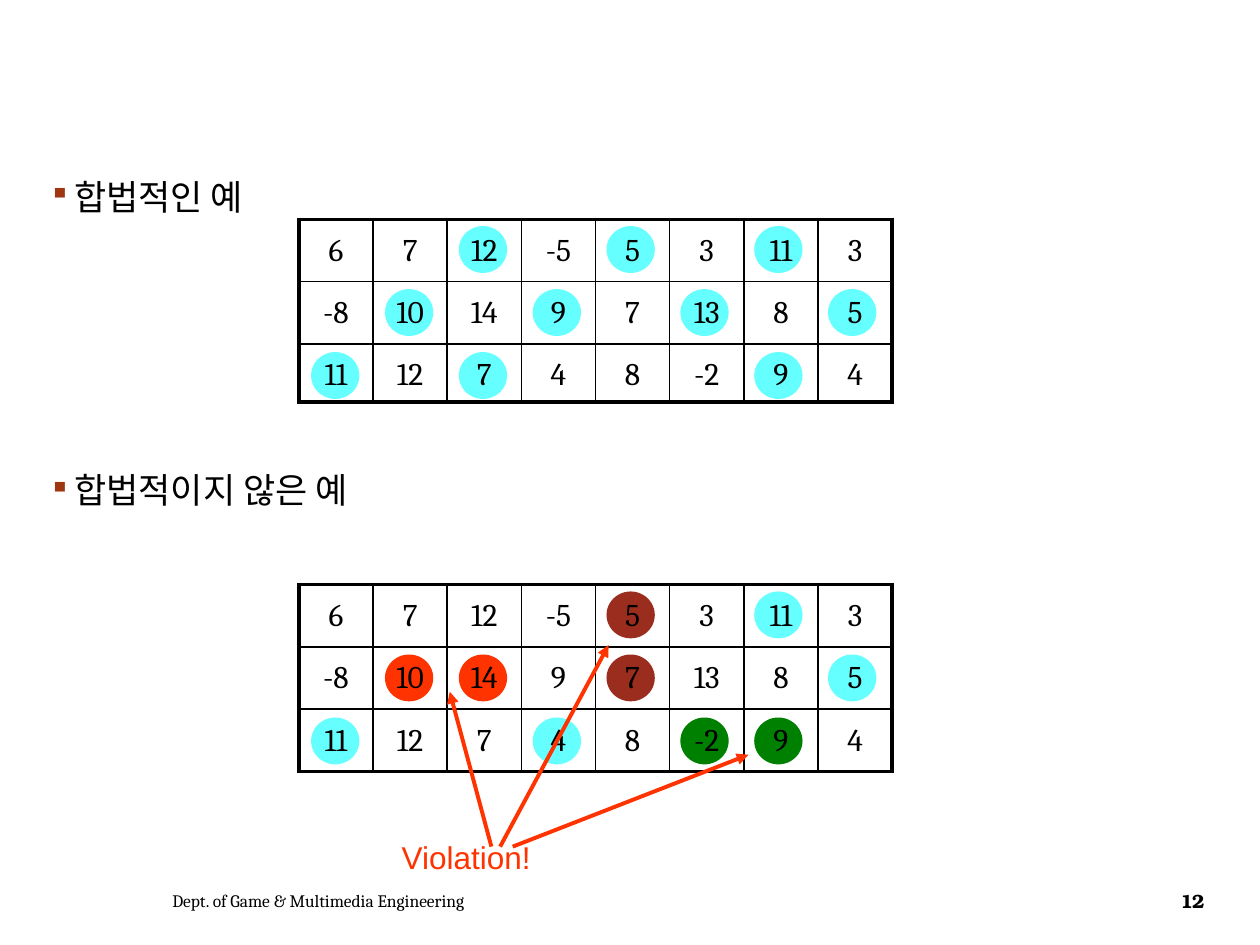
"""Build a slide comparing a legal and an illegal pebble placement on a number grid."""
from lxml import etree
from pptx import Presentation
from pptx.dml.color import RGBColor
from pptx.enum.shapes import MSO_CONNECTOR, MSO_SHAPE
from pptx.enum.text import MSO_ANCHOR, PP_ALIGN
from pptx.oxml.ns import qn
from pptx.util import Pt

OVAL = MSO_SHAPE.OVAL
STRAIGHT = MSO_CONNECTOR.STRAIGHT
LEFT, CENTER = PP_ALIGN.LEFT, PP_ALIGN.CENTER
TOP, MIDDLE = MSO_ANCHOR.TOP, MSO_ANCHOR.MIDDLE

BLACK, CYAN, RED, BROWN, GREEN = "000000", "66FFFF", "FF3300", "9B2D1F", "008000"
BULLET = "9E3611"
SERIF, SANS, BODY = "Cambria", "Arial", "TeX Gyre Bonum"

NUMBERS = [
    [6, 7, 12, -5, 5, 3, 11, 3],
    [-8, 10, 14, 9, 7, 13, 8, 5],
    [11, 12, 7, 4, 8, -2, 9, 4],
]
BOARDS = [
    {
        "top": 125.3,
        "rows": [35.5, 35.7, 33.3],
        "pebbles": {CYAN: [(0, 2), (0, 4), (0, 6), (1, 1), (1, 3), (1, 5),
                           (1, 7), (2, 0), (2, 2), (2, 6)]},
    },
    {
        "top": 334.1,
        "rows": [35.5, 35.7, 35.5],
        "pebbles": {CYAN: [(0, 6), (1, 7), (2, 0), (2, 3)],
                    RED: [(1, 1), (1, 2)],
                    BROWN: [(0, 4), (1, 4)],
                    GREEN: [(2, 5), (2, 6)]},
    },
]
HEADINGS = [("합법적인 예", 0), ("합법적이지 않은 예", 146)]
ARROWS = [((280.8, 483.8), (257, 395.3)),
          ((285.8, 483.8), (347.8, 368.6)),
          ((293, 483.8), (427.7, 431.3))]

BOARD_LEFT, COLUMN = 170.8, 42.4
PEBBLE_WIDTH, PEBBLE_HEIGHT = 27.6, 26.8
FIRST_PEBBLE, PEBBLE_STEP, ROW_STEP = 191.6, 42.2, 36
THIN, THICK = 1, 2.25


def color(value):
    return RGBColor.from_string(value)


def add_span(para, text, size, font, fill=BLACK, bold=False):
    span = para.add_run()
    span.text = text
    span.font.size = Pt(size)
    span.font.name = font
    span.font.bold = bold
    span.font.color.rgb = color(fill)
    return span


def add_box(slide, left, top, width, height, anchor=TOP):
    box = slide.shapes.add_textbox(Pt(left), Pt(top), Pt(width), Pt(height))
    box.text_frame.word_wrap = True
    box.text_frame.vertical_anchor = anchor
    return box.text_frame


def add_label(slide, place, text, size, font, fill=BLACK, bold=False,
              align=LEFT, anchor=TOP):
    para = add_box(slide, *place, anchor).paragraphs[0]
    para.alignment = align
    return add_span(para, text, size, font, fill, bold)


def add_pebbles(slide, board):
    for fill, cells in board["pebbles"].items():
        for row, column in cells:
            center_x = FIRST_PEBBLE + column * PEBBLE_STEP
            center_y = board["top"] + 17.3 + row * ROW_STEP
            pebble = slide.shapes.add_shape(
                OVAL, Pt(center_x - PEBBLE_WIDTH / 2), Pt(center_y - PEBBLE_HEIGHT / 2),
                Pt(PEBBLE_WIDTH), Pt(PEBBLE_HEIGHT))
            pebble.shadow.inherit = False
            pebble.fill.solid()
            pebble.fill.fore_color.rgb = color(fill)
            pebble.line.fill.background()


def set_borders(cell, outer_sides):
    properties = cell._tc.get_or_add_tcPr()
    for side, is_outer in outer_sides.items():
        width = Pt(THICK if is_outer else THIN)
        line = etree.SubElement(properties, qn(f"a:ln{side}"), w=str(int(width)))
        fill = etree.SubElement(line, qn("a:solidFill"))
        etree.SubElement(fill, qn("a:srgbClr"), val=BLACK)


def add_board(slide, board):
    row_count, column_count = len(NUMBERS), len(NUMBERS[0])
    frame = slide.shapes.add_table(
        row_count, column_count, Pt(BOARD_LEFT), Pt(board["top"]),
        Pt(COLUMN * column_count), Pt(sum(board["rows"])))
    table = frame.table
    table.first_row = table.horz_banding = False
    for column in table.columns:
        column.width = Pt(COLUMN)
    for r, (height, values) in enumerate(zip(board["rows"], NUMBERS)):
        table.rows[r].height = Pt(height)
        for c, value in enumerate(values):
            cell = table.cell(r, c)
            set_borders(cell, {"L": c == 0, "R": c == column_count - 1,
                               "T": r == 0, "B": r == row_count - 1})
            cell.fill.background()
            para = cell.text_frame.paragraphs[0]
            para.alignment = CENTER
            para.line_spacing = 1.2
            add_span(para, str(value), 18, SERIF)


def add_arrow(slide, start, end):
    arrow = slide.shapes.add_connector(STRAIGHT, *map(Pt, start + end))
    arrow.line.color.rgb = color(RED)
    arrow.line.width = Pt(THICK)
    etree.SubElement(arrow.line._get_or_add_ln(), qn("a:tailEnd"), type="triangle")
    etree.SubElement(arrow._element.spPr, qn("a:effectLst"))


def add_headings(slide):
    frame = add_box(slide, 20.9, 99.4, 679, 386.6)
    for index, (text, gap) in enumerate(HEADINGS):
        para = frame.add_paragraph() if index else frame.paragraphs[0]
        para.line_spacing = 0.9
        para.space_before = Pt(gap)
        properties = para._p.get_or_add_pPr()
        properties.set("marL", str(int(Pt(14.4))))
        properties.set("indent", str(int(Pt(-14.4))))
        bullet_color = etree.SubElement(properties, qn("a:buClr"))
        etree.SubElement(bullet_color, qn("a:srgbClr"), val=BULLET)
        etree.SubElement(properties, qn("a:buSzPct"), val="85000")
        etree.SubElement(properties, qn("a:buChar"), char="▪")
        add_span(para, text, 20, BODY)


def main():
    deck = Presentation()
    deck.slide_width, deck.slide_height = Pt(720), Pt(540)
    slide = deck.slides.add_slide(deck.slide_layouts[6])
    for board in BOARDS:
        add_pebbles(slide, board)
        add_board(slide, board)
    add_label(slide, (222.5, 475.2, 129.6, 41), "Violation!", 18, SANS, RED)
    for start, end in ARROWS:
        add_arrow(slide, start, end)
    add_headings(slide)
    add_label(slide, (91.4, 500.4, 330.5, 28.8), "Dept. of Game & Multimedia Engineering",
              10, SERIF, anchor=MIDDLE)
    number = add_label(slide, (662.4, 500.4, 38.2, 28.8), "12", 11, BODY,
                       bold=True, align=CENTER, anchor=MIDDLE)
    number._r.get_or_add_rPr().set("spc", "-70")
    deck.save("out.pptx")


if __name__ == "__main__":
    main()
